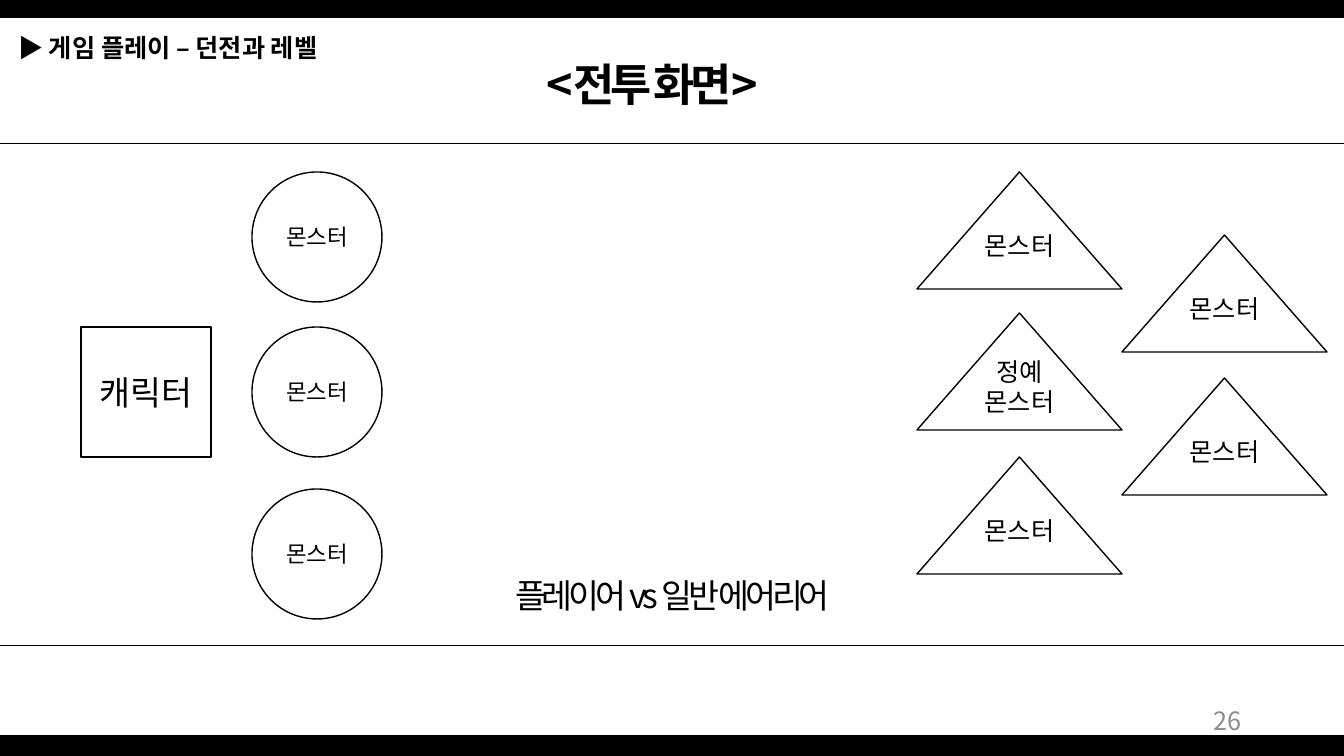
from pptx import Presentation
from pptx import util as u
from pptx.dml.color import RGBColor
from pptx.enum import shapes, text
from pptx.oxml.ns import qn
from lxml import etree

PX = 914400 / 100.8
WIDTH, HEIGHT = 1344, 756
FONT = "Noto Sans CJK KR"
BLACK, WHITE, GRAY = "000000", "FFFFFF", "8C8C8C"
SHAPE = shapes.MSO_SHAPE
ALIGN = text.PP_ALIGN

BARS = [(0, 18), (735, 21)]  # top, height
RULES = [143, 645]
# wording, left, top, width, height, format
LABELS = [
    ("<전투 화면>", 482, 51, 341, 65, dict(size=32, bold=True, spacing=-3)),
    ("26", 950, 700, 302, 40, dict(size=18, color=GRAY, align=ALIGN.RIGHT)),
    ("▶ 게임 플레이 – 던전과 레벨", 8, 27, 416, 40,
     dict(size=18, bold=True, align=ALIGN.LEFT)),
    ("플레이어 vs 일반 에어리어", 486, 570, 373, 51, dict(size=24, spacing=-3)),
]
CHARACTER = ("캐릭터", 81, 327)
ALLIES = [("몬스터", 252, top) for top in (172, 327, 489)]
ENEMIES = [
    ("몬스터", 917, 172),
    ("정예\n몬스터", 917, 313),
    ("몬스터", 917, 457),
    ("몬스터", 1122, 235),
    ("몬스터", 1122, 378),
]
PLAYER_SIDE = 130
ENEMY_WIDTH, ENEMY_HEIGHT = 205, 117
ENEMY_LIFT = 29  # bottom inset that raises the wording in a triangle


def px(length):
    return u.Emu(round(length * PX))


def rgb(color):
    return RGBColor.from_string(color)


def write(box, wording, size, color=BLACK, bold=False, align=ALIGN.CENTER,
          spacing=0, line_height=None, side=0, bottom=0):
    frame = box.text_frame
    frame.word_wrap = True
    frame.vertical_anchor = text.MSO_ANCHOR.MIDDLE
    frame.margin_left = frame.margin_right = px(side)
    frame.margin_top, frame.margin_bottom = 0, px(bottom)
    for index, line in enumerate(wording.split("\n")):
        para = frame.add_paragraph() if index else frame.paragraphs[0]
        para.alignment = align
        if line_height:
            para.line_spacing = u.Pt(line_height)
        span = para.add_run()
        span.text = line
        span.font.size = u.Pt(size)
        span.font.bold = bold
        span.font.color.rgb = rgb(color)
        span.font.name = FONT
        properties = span.font._element
        etree.SubElement(properties, qn("a:ea")).set("typeface", FONT)
        if spacing:
            properties.set("spc", str(spacing * 100))


def add_figure(page, kind, left, top, width, height, fill=WHITE, line=BLACK):
    figure = page.shapes.add_shape(kind, px(left), px(top), px(width), px(height))
    figure.shadow.inherit = False
    figure.fill.solid()
    figure.fill.fore_color.rgb = rgb(fill)
    if line:
        figure.line.color.rgb = rgb(line)
        figure.line.width = u.Pt(1)
    else:
        figure.line.fill.background()
    return figure


def add_rule(page, top):
    rule = page.shapes.add_connector(
        shapes.MSO_CONNECTOR.STRAIGHT, 0, px(top), px(WIDTH), px(top))
    rule.line.color.rgb = rgb(BLACK)
    rule.line.width = u.Pt(0.5)
    etree.SubElement(rule._element.spPr, qn("a:effectLst"))


def main():
    deck = Presentation()
    deck.slide_width, deck.slide_height = px(WIDTH), px(HEIGHT)
    page = deck.slides.add_slide(deck.slide_layouts[6])

    for top, height in BARS:
        add_figure(page, SHAPE.RECTANGLE, 0, top, WIDTH, height, BLACK, None)
    for wording, left, top, width, height, style in LABELS:
        box = page.shapes.add_textbox(px(left), px(top), px(width), px(height))
        write(box, wording, side=10, **style)
    for top in RULES:
        add_rule(page, top)

    groups = [
        (ALLIES, SHAPE.OVAL, PLAYER_SIDE, PLAYER_SIDE, dict(size=16)),
        ([CHARACTER], SHAPE.RECTANGLE, PLAYER_SIDE, PLAYER_SIDE, dict(size=24)),
        (ENEMIES, SHAPE.ISOSCELES_TRIANGLE, ENEMY_WIDTH, ENEMY_HEIGHT,
         dict(size=18, line_height=21.5, bottom=ENEMY_LIFT)),
    ]
    for members, kind, width, height, style in groups:
        for wording, left, top in members:
            write(add_figure(page, kind, left, top, width, height), wording, **style)

    deck.save("out.pptx")


if __name__ == "__main__":
    main()
